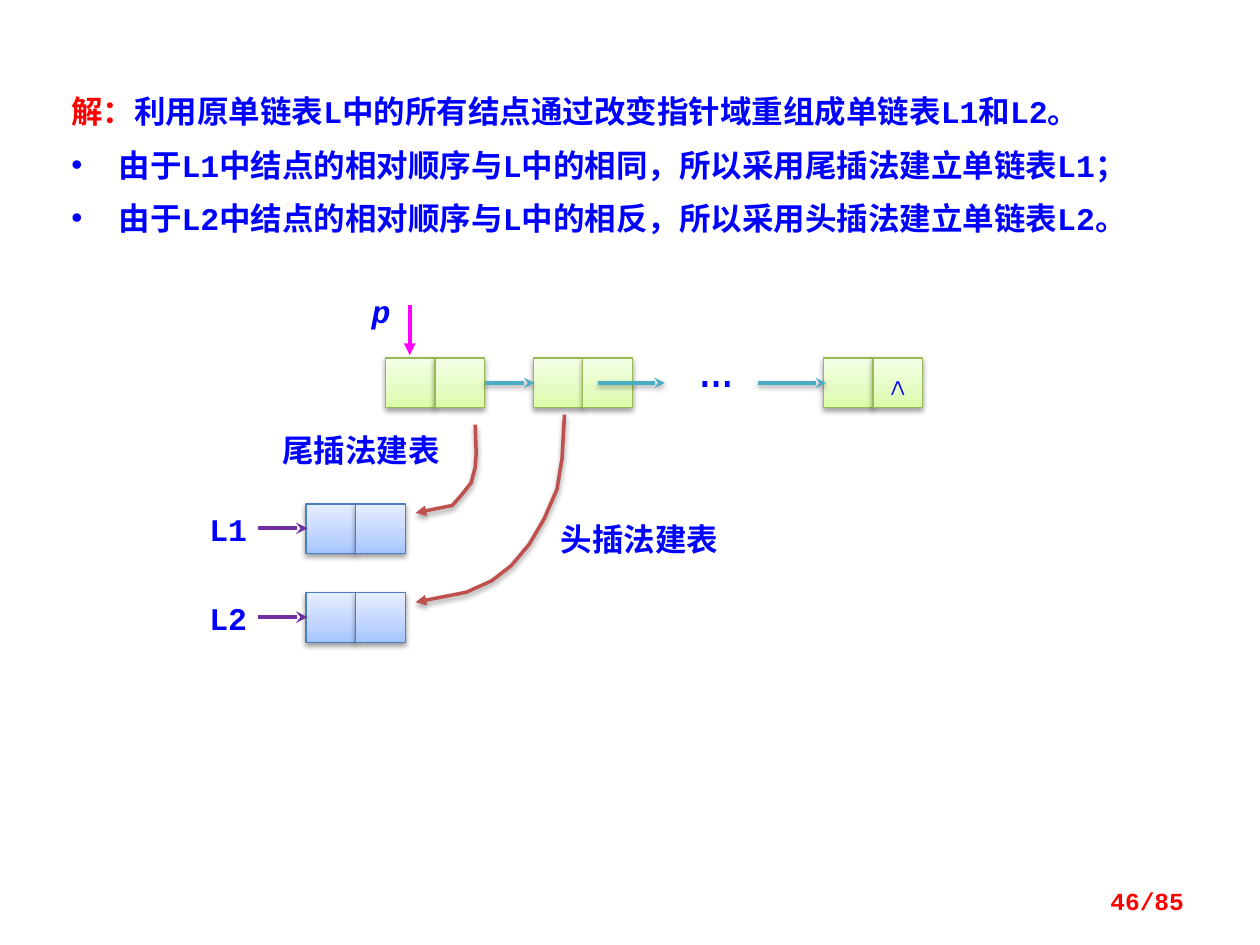
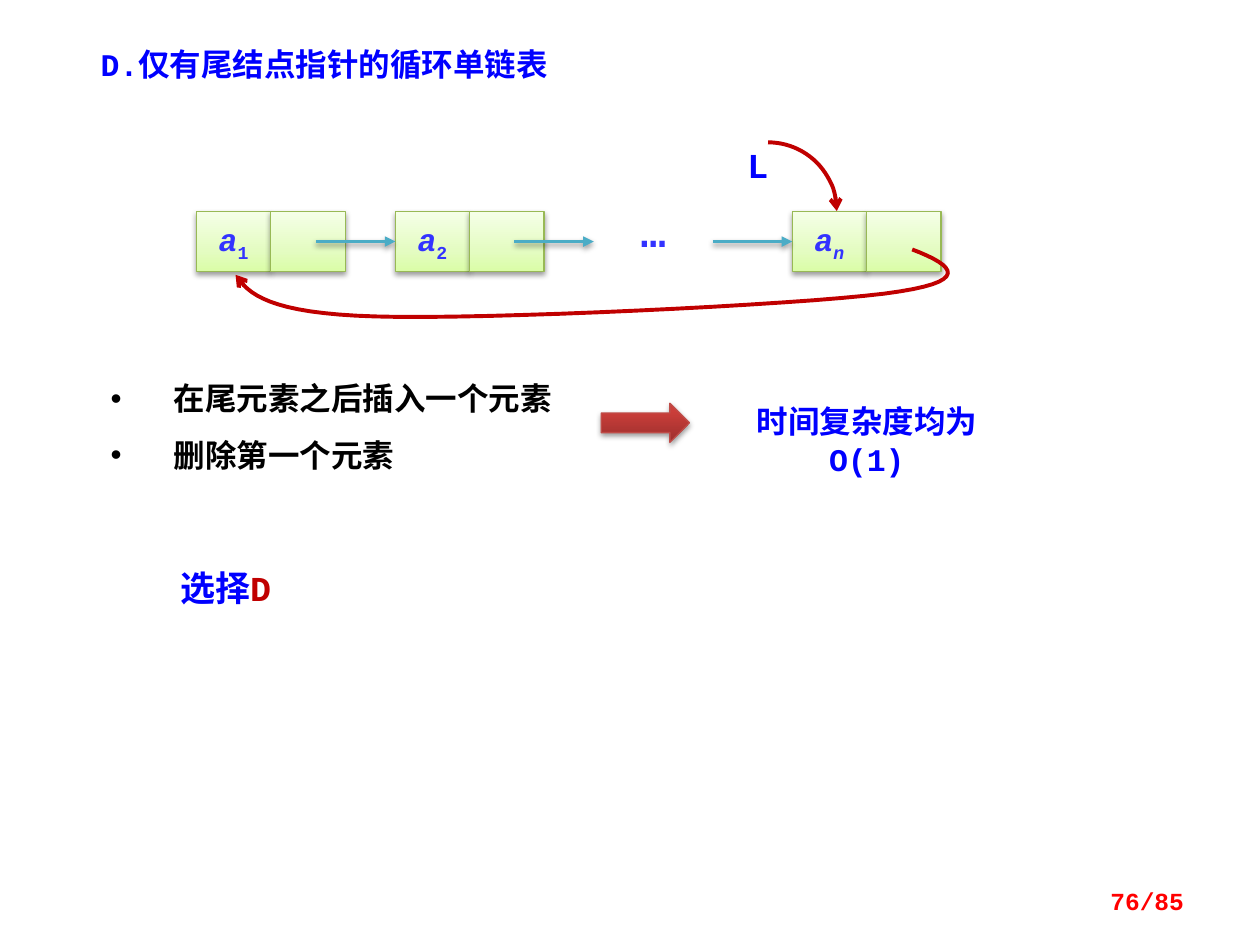
"""Build two slides on singly linked lists: splitting a list, and a circular list with a tail pointer."""
from pptx import Presentation
from pptx.dml.color import RGBColor
from pptx.enum.shapes import MSO_CONNECTOR, MSO_SHAPE
from pptx.enum.text import MSO_ANCHOR, PP_ALIGN
from pptx.oxml import parse_xml
from pptx.oxml.ns import nsdecls, qn
from pptx.util import Cm, Pt

LEFT, CENTER, RIGHT, JUSTIFY = PP_ALIGN.LEFT, PP_ALIGN.CENTER, PP_ALIGN.RIGHT, PP_ALIGN.JUSTIFY
TOP, MIDDLE = MSO_ANCHOR.TOP, MSO_ANCHOR.MIDDLE
RECT, ARC, RIGHT_ARROW = MSO_SHAPE.RECTANGLE, MSO_SHAPE.ARC, MSO_SHAPE.RIGHT_ARROW
STRAIGHT = MSO_CONNECTOR.STRAIGHT

LATIN, CJK = "Courier New", "Noto Sans CJK SC"
COLORS = {
    "blue": "0000FF", "element": "3333FF", "red": "FF0000", "dark_red": "C00000",
    "black": "000000", "purple": "7030A0", "teal": "4BACC6", "brick": "C0504D",
    "magenta": "FF00FF", "green_line": "98B955", "blue_line": "4B7EBC", "red_line": "BF4C48",
}
GRADIENTS = {
    "green": [(0, "DAFDA7"), (35, "E4FCC2"), (100, "F5FFE7")],
    "blue": [(0, "A4C4FF"), (35, "BFD4FF"), (100, "E6EEFF")],
    "red": [(0, "9C2F2D"), (80, "CB3E3A"), (100, "CE3B37")],
}

SOLUTION = [
    [("解：", {"color": "red"}), ("利用原单链表L中的所有结点通过改变指针域重组成单链表L1和L2。", {})],
    [("由于L1中结点的相对顺序与L中的相同，所以采用尾插法建立单链表L1；", {})],
    [("由于L2中结点的相对顺序与L中的相反，所以采用头插法建立单链表L2。", {})],
]
SOURCE_NODES = [(7.77, ""), (10.75, ""), (16.6, "∧")]
SOURCE_Y, SOURCE_CELL = 7.22, (1, 1)
SOURCE_LINKS = [(9.78, 10.77), (12.05, 13.4), (15.28, 16.65)]
RESULT_LISTS = [("L1", 10.16), ("L2", 11.95)]
TAIL_INSERT = [(9.58, 8.56), (9.6, 9.14), (9.58, 9.42), (9.5, 9.73), (9.32, 9.96),
               (9.12, 10.19), (8.38, 10.34)]
HEAD_INSERT = [(11.38, 8.36), (11.33, 9.25), (11.23, 9.86), (10.97, 10.46), (10.67, 10.97),
               (10.31, 11.4), (9.91, 11.71), (9.4, 11.94), (8.38, 12.14)]

CIRCULAR_NODES = [(3.96, "1", False), (7.97, "2", False), (15.97, "n", True)]
CIRCULAR_Y, CIRCULAR_CELL = 4.27, (1.5, 1.2)
CIRCULAR_LINKS = [(6.37 + 4 * i, 7.97 + 4 * i) for i in range(3)]
BACK_LINK = [
    ((18.39, 5.03), (19.25, 5.36), (19.63, 5.69), (17.83, 5.92)),
    ((17.83, 5.92), (16.03, 6.15), (9.75, 6.45), (7.57, 6.38)),
    ((7.57, 6.38), (5.41, 6.32), (5, 5.92), (4.75, 5.54)),
]
OPERATIONS = [[("在尾元素之后插入一个元素", {})], [("删除第一个元素", {})]]


def rgb(name):
    return RGBColor.from_string(COLORS[name])


def effects(shape, shadow=True, alpha=38):
    inner = ""
    if shadow:
        inner = ('<a:outerShdw blurRad="40000" dist="20000" dir="5400000" rotWithShape="0">'
                 f'<a:srgbClr val="000000"><a:alpha val="{alpha * 1000}"/></a:srgbClr></a:outerShdw>')
    shape._element.spPr.append(parse_xml(f'<a:effectLst {nsdecls("a")}>{inner}</a:effectLst>'))


def stroke(shape, color, width, head=None, shadow=False):
    shape.line.color.rgb = rgb(color)
    shape.line.width = Pt(width)
    if head:
        ln = shape._element.spPr.find(qn("a:ln"))
        ln.append(parse_xml(f'<a:tailEnd {nsdecls("a")} type="{head}"/>'))
    effects(shape, shadow)


def gradient(shape, stops):
    shape.fill.gradient()
    shape.fill.gradient_angle = 90
    gs_lst = shape._element.spPr.find(".//" + qn("a:gsLst"))
    for gs in list(gs_lst):
        gs_lst.remove(gs)
    for pos, color in stops:
        gs_lst.append(parse_xml(f'<a:gs {nsdecls("a")} pos="{pos * 1000}">'
                                f'<a:srgbClr val="{color}"/></a:gs>'))


def write(tf, content, size=18, color="blue", bold=True, italic=False, align=LEFT, anchor=TOP,
          wrap=True, before=0, spacing=None, indent=0, bullets_from=0):
    """Fill a text frame with a string or with paragraphs of (text, format) runs."""
    paragraphs = [[(content, {})]] if isinstance(content, str) else content
    tf.word_wrap = wrap
    tf.vertical_anchor = anchor
    for i, runs in enumerate(paragraphs):
        p = tf.add_paragraph() if i else tf.paragraphs[0]
        p.alignment = align
        if spacing:
            p.line_spacing = spacing
        if before and i:
            p.space_before = Pt(before)
        if indent and i >= bullets_from:
            pPr = p._p.get_or_add_pPr()
            pPr.set("marL", str(Cm(indent)))
            pPr.set("indent", str(-Cm(indent)))
            pPr.append(parse_xml(f'<a:buFont {nsdecls("a")} typeface="Arial"/>'))
            pPr.append(parse_xml(f'<a:buChar {nsdecls("a")} char="•"/>'))
        for text, fmt in runs:
            r = p.add_run()
            r.text = text
            r.font.size = Pt(size)
            r.font.bold = bold
            r.font.italic = fmt.get("italic", italic)
            r.font.color.rgb = rgb(fmt.get("color", color))
            r.font.name = LATIN
            rPr = r._r.get_or_add_rPr()
            rPr.append(parse_xml(f'<a:ea {nsdecls("a")} typeface="{CJK}"/>'))
            if "baseline" in fmt:
                rPr.set("baseline", str(fmt["baseline"] * 1000))


def label(s, content, x, y, w, h=1.02, **fmt):
    write(s.shapes.add_textbox(Cm(x), Cm(y), Cm(w), Cm(h)).text_frame, content, **fmt)


def node(s, x, y, cell, kind="green", data="", pointer="", **fmt):
    w, h = cell
    for i, content in enumerate((data, pointer)):
        sp = s.shapes.add_shape(RECT, Cm(x + i * w), Cm(y), Cm(w), Cm(h))
        gradient(sp, GRADIENTS[kind])
        stroke(sp, f"{kind}_line", 0.75, shadow=True)
        if content:
            write(sp.text_frame, content, align=CENTER, anchor=MIDDLE, wrap=False, **fmt)


def arrow(s, start, end, color, width, head, shadow=False):
    cx = s.shapes.add_connector(STRAIGHT, *(Cm(v) for v in start + end))
    stroke(cx, color, width, head, shadow)


def curve(s, points, color, width, head, shadow=False):
    pts = [(Cm(x), Cm(y)) for x, y in points]
    builder = s.shapes.build_freeform(*pts[0], scale=1.0)
    builder.add_line_segments(pts[1:], close=False)
    sp = builder.convert_to_shape()
    sp.fill.background()
    stroke(sp, color, width, head, shadow)


def bezier_points(segments, steps=16):
    points = [segments[0][0]]
    for a, b, c, d in segments:
        for i in range(1, steps + 1):
            t = i / steps
            u = 1 - t
            weights = (u ** 3, 3 * u * u * t, 3 * u * t * t, t ** 3)
            points.append(tuple(sum(k * q[n] for k, q in zip(weights, (a, b, c, d)))
                                for n in (0, 1)))
    return points


def new_slide(prs, page):
    s = prs.slides.add_slide(prs.slide_layouts[6])
    label(s, f"{page}/85", 18.2, 17.65, 5.92, size=14, color="red", align=RIGHT, anchor=MIDDLE)
    return s


def split_slide(prs):
    s = new_slide(prs, 46)
    label(s, SOLUTION, 1.19, 1.73, 23, 3.43, align=JUSTIFY, before=9, indent=0.95, bullets_from=1)
    for name, y in RESULT_LISTS:
        node(s, 6.17, y, SOURCE_CELL, "blue")
        arrow(s, (5.2, y + 0.49), (6.2, y + 0.49), "purple", 2.25, "stealth")
        label(s, name, 3.97, y, 1.4)
    for x, pointer in SOURCE_NODES:
        node(s, x, SOURCE_Y, SOURCE_CELL, pointer=pointer)
    link_y = SOURCE_Y + SOURCE_CELL[1] / 2
    for x1, x2 in SOURCE_LINKS:
        arrow(s, (x1, link_y), (x2, link_y), "teal", 2, "stealth", True)
    label(s, "…", 13.85, 6.55, 2.01, 1.6, size=32, bold=False)
    label(s, "p", 7.24, 5.77, 1, italic=True)
    arrow(s, (8.26, 6.15), (8.26, 7.16), "magenta", 2.25, "triangle")
    for points in (HEAD_INSERT, TAIL_INSERT):
        curve(s, points, "brick", 2, "triangle", True)
    label(s, "头插法建表", 11.05, 10.36, 4.2)
    label(s, "尾插法建表", 5.44, 8.56, 5.2)


def circular_slide(prs):
    s = new_slide(prs, 76)
    label(s, "D.仅有尾结点指针的循环单链表", 1.78, 0.79, 12.7)
    arc = s.shapes.add_shape(ARC, Cm(14.1), Cm(2.87), Cm(2.77), Cm(2.77))
    arc.fill.background()
    stroke(arc, "dark_red", 2.25, "arrow")
    for x, index, slanted in CIRCULAR_NODES:
        data = [[("a", {}), (index, {"italic": slanted, "baseline": -25})]]
        node(s, x, CIRCULAR_Y, CIRCULAR_CELL, data=data, color="element", italic=True)
    link_y = CIRCULAR_Y + CIRCULAR_CELL[1] / 2
    for x1, x2 in CIRCULAR_LINKS:
        arrow(s, (x1, link_y), (x2, link_y), "teal", 2, "triangle", True)
    label(s, "…", 12.37, 4.01, 1.6, 1.27, size=24, color="element", align=CENTER)
    curve(s, bezier_points(BACK_LINK), "dark_red", 2.25, "arrow")
    label(s, "L", 14.68, 2.77, 1.2, 1.12, size=20, align=CENTER)
    label(s, OPERATIONS, 1.98, 7.14, 9.73, 2.57, color="black", spacing=1.5, indent=1.27)
    sp = s.shapes.add_shape(RIGHT_ARROW, Cm(12.12), Cm(8.13), Cm(1.78), Cm(0.79))
    gradient(sp, GRADIENTS["red"])
    stroke(sp, "red_line", 0.75, shadow=True)
    label(s, "时间复杂度均为O(1)", 14.3, 7.98, 6.35, align=CENTER)
    label(s, [[("选择", {}), ("D", {"color": "dark_red"})]], 3.38, 11.3, 4.37, 1.12, size=20)


def main():
    prs = Presentation()
    prs.slide_width, prs.slide_height = Cm(25.4), Cm(19.05)
    split_slide(prs)
    circular_slide(prs)
    prs.save("out.pptx")


if __name__ == "__main__":
    main()
